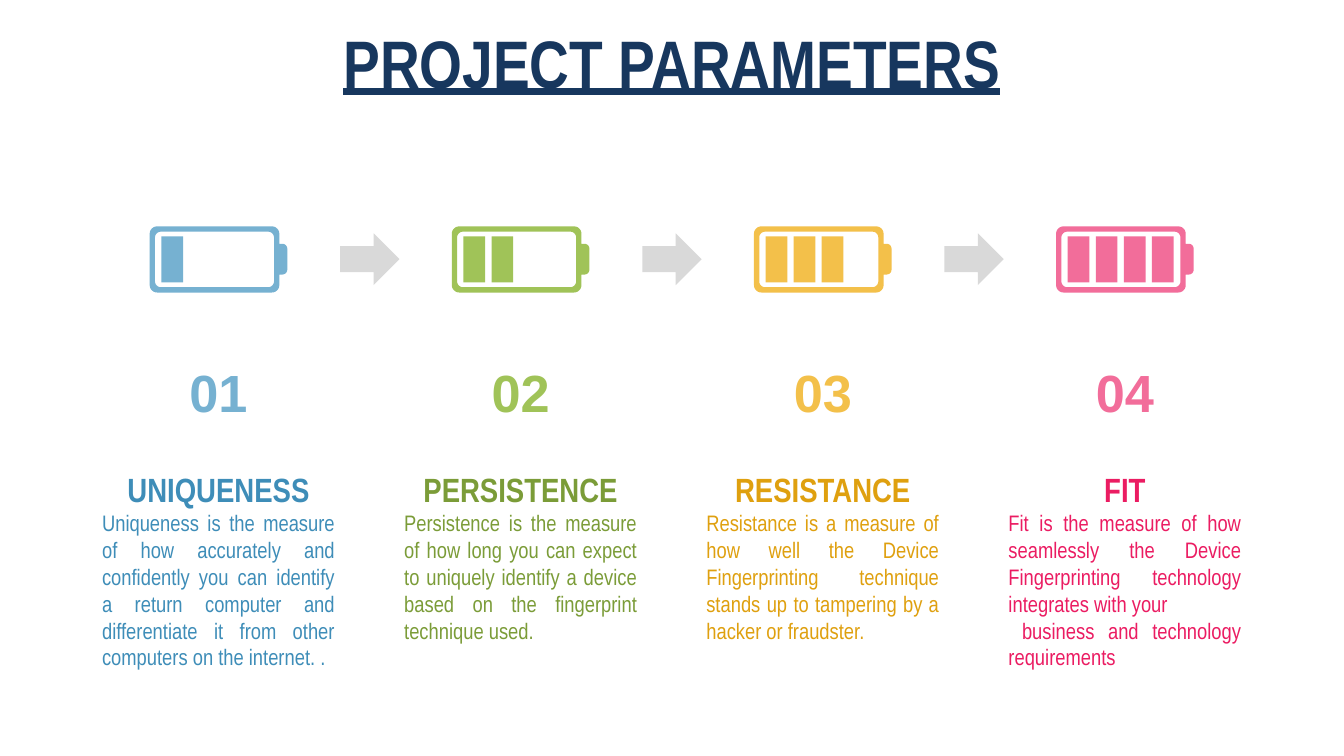
import math

import pptx
import pptx.dml.color
import pptx.enum.shapes
import pptx.enum.text
import pptx.util

Cm = pptx.util.Cm
ALIGN = pptx.enum.text.PP_ALIGN
ANCHOR = pptx.enum.text.MSO_ANCHOR

COLUMN_LEFT = 1.68
COLUMN_WIDTH = 4.9
COLUMN_STEP = 5.71
COLUMN_TOP = 4.28
ARROW_COLOR = "D9D9D9"

PARAMETERS = [
    ("UNIQUENESS", "76B1D1", "3E8DB8", 2.82, [
        "Uniqueness is the measure of how accurately and confidently you can "
        "identify a return computer and differentiate it from other computers "
        "on the internet. ."]),
    ("PERSISTENCE", "A0C358", "7B9C38", 2.31, [
        "Persistence is the measure of how long you can expect to uniquely "
        "identify a device based on the fingerprint technique used."]),
    ("RESISTANCE", "F3C04A", "DFA00F", 2.31, [
        "Resistance is a measure of how well the Device Fingerprinting "
        "technique stands up to tampering by a hacker or fraudster."]),
    ("FIT", "F26D9A", "EB1C62", 2.82, [
        "Fit is the measure of how seamlessly the Device Fingerprinting "
        "technology integrates with your",
        " business and technology requirements"]),
]


def rgb(color):
    return pptx.dml.color.RGBColor.from_string(color)


def paint(shape, color):
    shape.shadow.inherit = False
    shape.fill.solid()
    shape.fill.fore_color.rgb = rgb(color)
    shape.line.fill.background()


def add_text(slide, box, texts, size, color, font="Arial Narrow", bold=True,
             underline=None, align=ALIGN.CENTER, anchor=ANCHOR.TOP):
    text_box = slide.shapes.add_textbox(*(Cm(length) for length in box))
    frame = text_box.text_frame
    frame.word_wrap = True
    frame.vertical_anchor = anchor
    for index, text in enumerate(texts):
        paragraph = frame.add_paragraph() if index else frame.paragraphs[0]
        paragraph.alignment = align
        run = paragraph.add_run()
        run.text = text
        run.font.name = font
        run.font.size = pptx.util.Pt(size)
        run.font.bold = bold
        run.font.underline = underline
        run.font.color.rgb = rgb(color)


def rounded_outline(left, top, width, height, left_radius=0, right_radius=0):
    right, bottom = left + width, top + height
    corners = [
        (right - right_radius, top + right_radius, right_radius, 270),
        (right - right_radius, bottom - right_radius, right_radius, 0),
        (left + left_radius, bottom - left_radius, left_radius, 90),
        (left + left_radius, top + left_radius, left_radius, 180),
    ]
    points = []
    for x, y, radius, start in corners:
        for turn in range(0, 91, 15) if radius else [0]:
            angle = math.radians(start + turn)
            points.append((Cm(x + radius * math.cos(angle)),
                           Cm(y + radius * math.sin(angle))))
    return points


def add_battery(slide, left, top, level, color):
    outlines = [
        rounded_outline(left, top, 2.45, 1.25, 0.14, 0.14),
        rounded_outline(left + 0.1, top + 0.1, 2.25, 1.05, 0.11, 0.11),
        rounded_outline(left + 2.45, top + 0.33, 0.15, 0.58, 0, 0.09),
    ]
    for bar in range(level):
        outlines.append(rounded_outline(left + 0.22 + 0.53 * bar, top + 0.19,
                                        0.41, 0.87))
    builder = slide.shapes.build_freeform(*outlines[0][0])
    for index, outline in enumerate(outlines):
        if index:
            builder.move_to(*outline[0])
        builder.add_line_segments(outline[1:], close=True)
    paint(builder.convert_to_shape(), color)


def add_arrow(slide, left, top):
    arrow = slide.shapes.add_shape(
        pptx.enum.shapes.MSO_SHAPE.RIGHT_ARROW,
        Cm(left), Cm(top), Cm(1.12), Cm(0.98))
    paint(arrow, ARROW_COLOR)


def add_parameter(slide, left, top, width, number, parameter):
    heading, icon_color, text_color, body_height, body = parameter
    add_battery(slide, left + 1.15, top, number, icon_color)
    add_text(slide, (left + 1.61, top + 2.4, 1.68, 1.45), [f"{number:02d}"],
             28, icon_color, font="Arial", anchor=ANCHOR.MIDDLE)
    add_text(slide, (left, top + 5.22, width, body_height), body, 12,
             text_color, bold=False, align=ALIGN.JUSTIFY)
    add_text(slide, (left, top + 4.46, width, 1.02), [heading], 18, text_color)


def main():
    presentation = pptx.Presentation()
    presentation.slide_width = Cm(25.4)
    presentation.slide_height = Cm(14.29)
    slide = presentation.slides.add_slide(presentation.slide_layouts[6])
    add_text(slide, (0, 0.08, 25.4, 2.16), ["PROJECT PARAMETERS"], 36,
             "17375E", underline=True, anchor=ANCHOR.MIDDLE)
    for index, parameter in enumerate(PARAMETERS):
        left = COLUMN_LEFT + COLUMN_STEP * index
        add_parameter(slide, left, COLUMN_TOP, COLUMN_WIDTH, index + 1, parameter)
        if index < len(PARAMETERS) - 1:
            add_arrow(slide, left + 4.75, COLUMN_TOP + 0.13)
    presentation.save("out.pptx")


if __name__ == "__main__":
    main()
